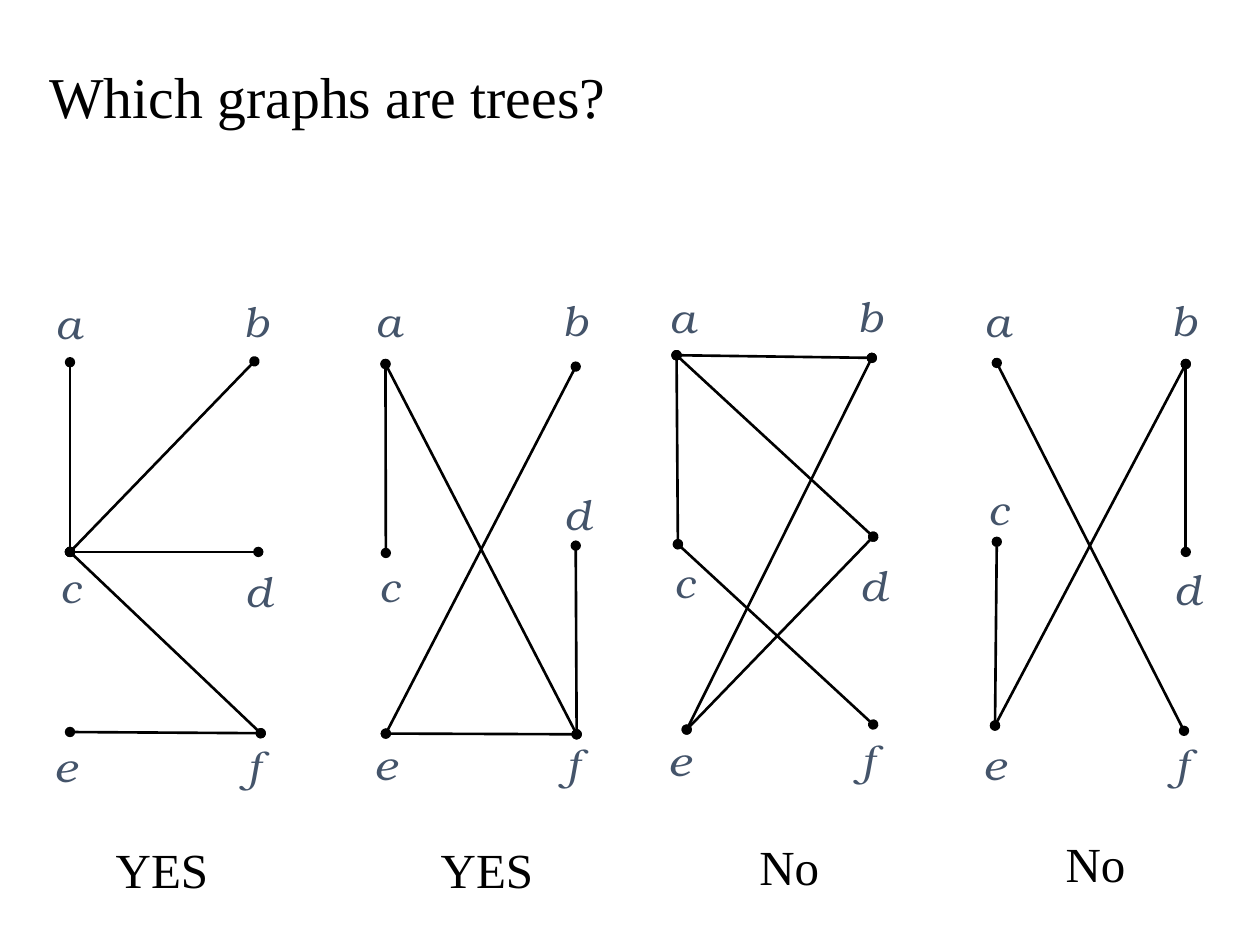
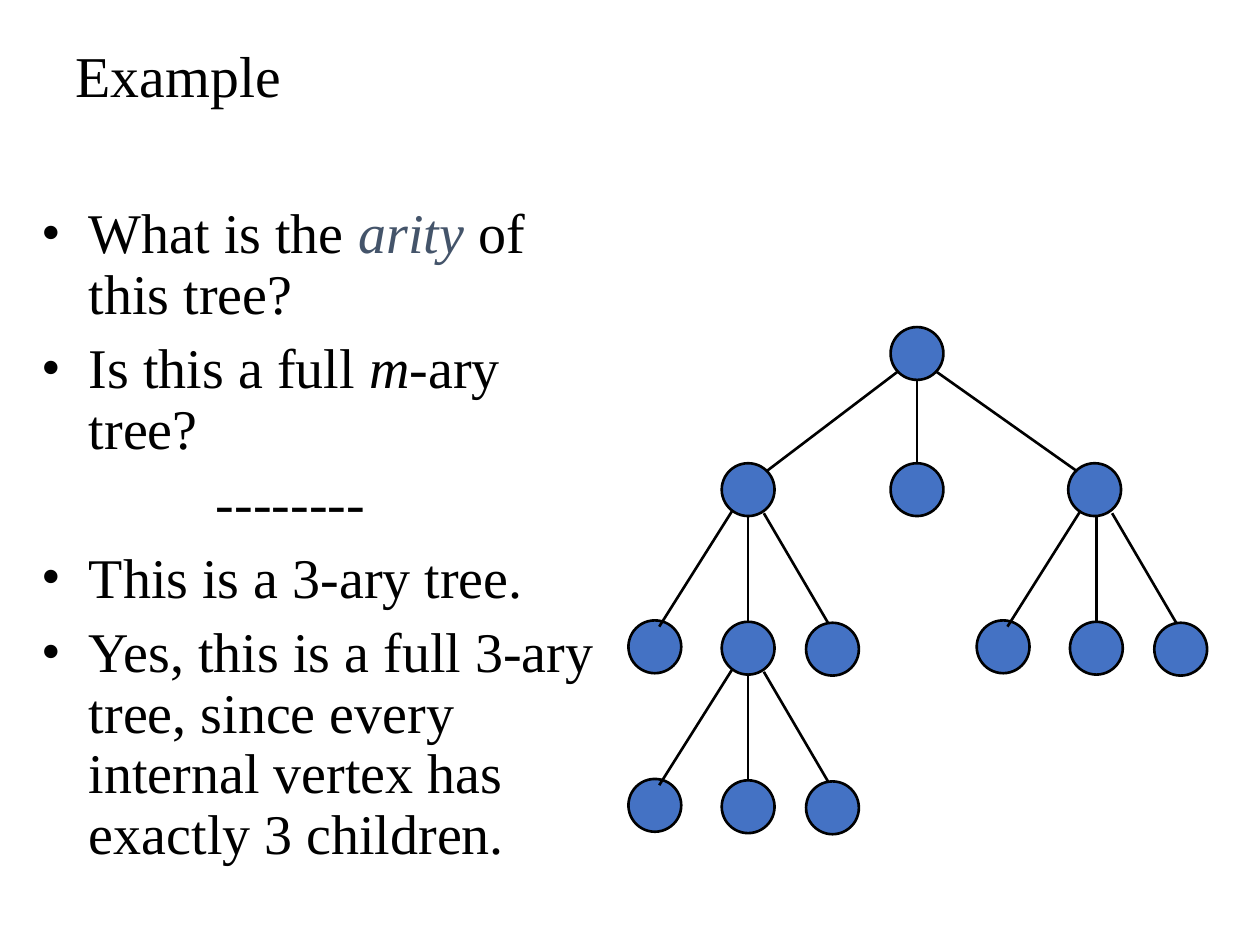
from lxml import etree
from pptx import Presentation
from pptx.dml.color import RGBColor
from pptx.enum import shapes, text as t
from pptx.oxml.ns import qn
from pptx.util import Pt

BLACK, SLATE, BLUE = "000000", "44546A", "4472C4"
SERIF, LETTER = "Times New Roman", "TeX Gyre Bonum"
LINE_WIDTH = 1.5
NODE = 30.2

LABEL_EXTENT = (24.5, 29)
LABEL_PLACES = {"a": (-1, 0.7), "b": (106, 0), "c": (0, 152),
                "d": (108, 154), "e": (-2.5, 254), "f": (104.5, 254)}

GRAPHS = [
    {"origin": (28, 169), "edges": "cd cb ca cf fe", "moved": {},
     "vertices": {"a": (12, 38), "b": (117.4, 37.5), "c": (12, 146.4),
                  "d": (119.6, 146.4), "e": (12, 249.3), "f": (121, 250)},
     "answer": "YES", "answer_at": (2.3, 307)},
    {"origin": (210.5, 168), "edges": "eb ca fe fd af", "moved": {"d": (107.5, 111)},
     "vertices": {"a": (9.8, 40), "b": (118.5, 41.5), "c": (10, 148),
                  "d": (118.5, 143.8), "e": (10, 251.2), "f": (119, 251.6)},
     "answer": "YES", "answer_at": (5.5, 308)},
    {"origin": (379, 165.6), "edges": "eb ca cf ad ed ab", "moved": {},
     "vertices": {"a": (7.6, 37.4), "b": (119.2, 38.9), "c": (8.4, 145.4),
                  "d": (120, 141.1), "e": (13.4, 251.3), "f": (120, 248.4)},
     "answer": "No", "answer_at": (9.8, 309)},
    {"origin": (558.6, 168), "edges": "eb db af ce", "moved": {"c": (0, 108)},
     "vertices": {"a": (11, 39.4), "b": (119, 40), "c": (11, 141.6),
                  "d": (119, 147.4), "e": (10, 246.6), "f": (118, 249.6)},
     "answer": "No", "answer_at": (5.2, 304.4)},
]

ROOT_BRANCHES = [((-96.5, 77.8), (-10.5, 10), (10.5, -10.5)),
                 ((0, 77.8), (0, 15), (0, -15)),
                 ((101.5, 77.8), (10.5, 10), (-10, -10.5))]
LOWER_BRANCHES = [((-53.3, 89.8), (-9, 12), (2.5, -11.5)),
                  ((0, 90.6), (0, 15.5), (0, -15)),
                  ((48.2, 91.2), (9, 13.5), (-2.5, -15))]

QUESTIONS = [
    [("What is the ", {}), ("arity", {"italic": True, "color": SLATE}),
     (" of this tree?", {})],
    [("Is this a full ", {}), ("m", {"italic": True}), ("-ary tree?", {})],
    [("--------", {})],
    [("This is a 3-ary tree.", {})],
    [("Yes, this is a full 3-ary tree, since every internal vertex has "
      "exactly 3 children.", {})],
]


def rgb(value):
    """Turn a hex string into a colour."""
    return RGBColor.from_string(value)


def shifted(point, offset):
    """Move a point by an offset."""
    return point[0] + offset[0], point[1] + offset[1]


def write(para, words, size=32, font=SERIF, color=BLACK, italic=False):
    """Add one formatted span to a paragraph."""
    span = para.add_run()
    span.text = words
    span.font.size = Pt(size)
    span.font.name = font
    span.font.italic = italic
    span.font.color.rgb = rgb(color)


def add_box(page, place, extent, insets=(0, 0), anchor=t.MSO_ANCHOR.MIDDLE):
    """Add a wrapping text box and return its frame."""
    box = page.shapes.add_textbox(*map(Pt, place + extent))
    frame = box.text_frame
    frame.word_wrap = True
    frame.vertical_anchor = anchor
    frame.margin_left = frame.margin_right = Pt(insets[0])
    frame.margin_top = frame.margin_bottom = Pt(insets[1])
    return frame


def add_centred(page, words, place, extent, **style):
    """Add a one-line centred text box."""
    para = add_box(page, place, extent).paragraphs[0]
    para.alignment = t.PP_ALIGN.CENTER
    write(para, words, **style)


def add_line(page, start, end, dots=False):
    """Draw a straight black line, with round ends if wanted."""
    line = page.shapes.add_connector(shapes.MSO_CONNECTOR.STRAIGHT,
                                     *map(Pt, start + end))
    line.line.color.rgb = rgb(BLACK)
    line.line.width = Pt(LINE_WIDTH)
    if dots:
        outline = line.get_or_add_ln()
        for tag in ("a:headEnd", "a:tailEnd"):
            etree.SubElement(outline, qn(tag), type="oval")
    etree.SubElement(line._element.spPr, qn("a:effectLst"))


def add_title(page, words, left, width, anchor):
    """Place and format the title."""
    title = page.shapes.title
    title.left, title.top, title.width, title.height = map(Pt, (left, 12.2, width, 66.2))
    frame = title.text_frame
    frame.auto_size = t.MSO_AUTO_SIZE.NONE
    frame.vertical_anchor = anchor
    para = frame.paragraphs[0]
    para.alignment = t.PP_ALIGN.LEFT
    para.line_spacing = 0.9
    write(para, words, size=33)


def add_graph(page, origin, edges, moved, vertices, answer, answer_at):
    """Draw a lettered graph with its answer below."""
    for first, last in edges.split():
        add_line(page, shifted(origin, vertices[first]),
                 shifted(origin, vertices[last]), dots=True)
    for letter, offset in (LABEL_PLACES | moved).items():
        add_centred(page, letter, shifted(origin, offset), LABEL_EXTENT,
                    size=24, font=LETTER, color=SLATE, italic=True)
    add_centred(page, answer, shifted(origin, answer_at), (124.5, 41), size=28)


def add_node(page, centre):
    """Draw a round tree node about its centre."""
    corner = shifted(centre, (-NODE / 2, -NODE / 2))
    node = page.shapes.add_shape(shapes.MSO_SHAPE.OVAL,
                                 *map(Pt, corner + (NODE, NODE)))
    node.shadow.inherit = False
    node.fill.solid()
    node.fill.fore_color.rgb = rgb(BLUE)
    node.line.color.rgb = rgb(BLACK)
    node.line.width = Pt(LINE_WIDTH)


def add_family(page, parent, branches):
    """Draw the children of a node and return their centres."""
    children = []
    for offset, start, end in branches:
        child = shifted(parent, offset)
        add_node(page, child)
        add_line(page, shifted(parent, start), shifted(child, end))
        children.append(child)
    return children


def add_tree(page, root):
    """Draw the 3-ary tree below its root."""
    add_node(page, root)
    left, _, right = add_family(page, root, ROOT_BRANCHES)
    _, inner, _ = add_family(page, left, LOWER_BRANCHES)
    add_family(page, inner, LOWER_BRANCHES)
    add_family(page, shifted(right, (1, 0)), LOWER_BRANCHES)


def add_bullet(para):
    """Give a paragraph a hanging black bullet."""
    props = para._p.get_or_add_pPr()
    props.set("marL", str(Pt(27)))
    props.set("indent", str(-Pt(27)))
    color = etree.SubElement(props, qn("a:buClr"))
    etree.SubElement(color, qn("a:srgbClr"), val=BLACK)
    etree.SubElement(props, qn("a:buFont"), typeface=SERIF)
    etree.SubElement(props, qn("a:buChar"), char="•")


def add_questions(page, place, extent):
    """Write the bulleted questions and answers."""
    frame = add_box(page, place, extent, insets=(0, 3.6), anchor=t.MSO_ANCHOR.TOP)
    for index, spans in enumerate(QUESTIONS):
        para = frame.add_paragraph() if index else frame.paragraphs[0]
        if spans[0][0].startswith("-"):
            para._p.get_or_add_pPr().set("marL", str(Pt(99.5)))
        else:
            add_bullet(para)
        para.line_spacing = 0.9
        if index:
            para.space_before = Pt(8)
        for words, style in spans:
            write(para, words, **style)


def main():
    """Build and save the deck."""
    deck = Presentation()
    deck.slide_width, deck.slide_height = Pt(720), Pt(540)
    title_only = deck.slide_layouts[5]

    page = deck.slides.add_slide(title_only)
    add_title(page, "Which graphs are trees?", 21, 678, t.MSO_ANCHOR.BOTTOM)
    for graph in GRAPHS:
        add_graph(page, **graph)

    page = deck.slides.add_slide(title_only)
    add_title(page, "Example", 36, 648, t.MSO_ANCHOR.MIDDLE)
    add_tree(page, (524, 202))
    add_questions(page, (23.8, 113.8), (318.2, 396))

    deck.save("out.pptx")


if __name__ == "__main__":
    main()
